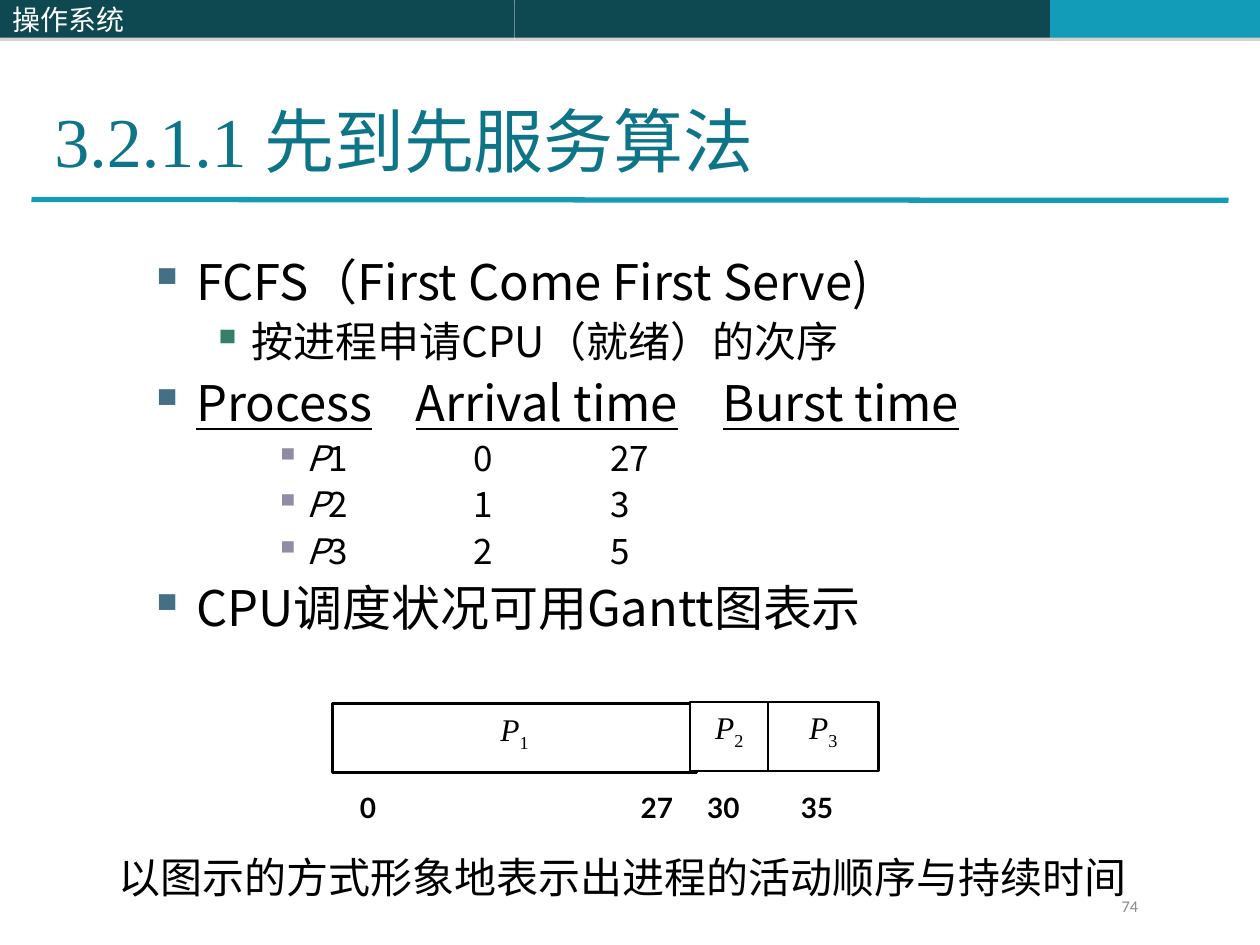
from lxml.etree import SubElement
from pptx import Presentation
from pptx.dml.color import RGBColor
from pptx.enum.shapes import MSO_CONNECTOR, MSO_SHAPE
from pptx.enum.text import MSO_ANCHOR, PP_ALIGN
from pptx.oxml.ns import qn
from pptx.util import Pt

SANS, SERIF = "Noto Sans CJK SC", "Times New Roman"
DARK, TEAL = "0E4851", "139CB7"

# Content: bars are (left, width, fill, text)
BARS = [(294, 306, DARK, ""), (600, 120, TEAL, ""), (0, 294, DARK, "操作系统")]
TITLE = "3.2.1.1 先到先服务算法"
TASKS = [("1", "0", "27"), ("2", "1", "3"), ("3", "2", "5")]
HEADS = ["Process", "Arrival time", "Burst time"]
# Levels: text indent, hanging, space before, size, bullet colour, tab stops
LEVELS = [
    (27, 27, 7, 28, "437085", [152.5, 328]),
    (58.5, 22.5, 6, 24, "357E69", []),
    (90, 18, 5, 20, "918BA3", [185.5, 263.5]),
]
# Body: level, then runs of (text, format)
BODY = [
    (0, [("FCFS（First Come First Serve)", {})]),
    (1, [("按进程申请CPU（就绪）的次序", {})]),
    (0, [(HEADS[0], {"under": True})]
     + [run for head in HEADS[1:] for run in (("\t", {}), (head, {"under": True}))]),
    *[(2, [("P", {"italic": True}), ("\t".join(row), {})]) for row in TASKS],
    (0, [("CPU调度状况可用Gantt图表示", {})]),
]
# Gantt blocks: number, left, top, width
BLOCKS = [("1", 190, 402, 208), ("2", 394.5, 401, 44.5), ("3", 439, 401, 63)]
TICKS, STOPS = ["0", "27", "30", "35"], [160.5, 198.5, 252]
CAPTION = "以图示的方式形象地表示出进程的活动顺序与持续时间"


def color(code):
    return RGBColor.from_string(code)


def write(par, text, size=18, font=SANS, ink="000000", bold=False,
          italic=False, under=False, base=0):
    run = par.add_run()
    run.text = text
    face = run.font
    face.size, face.name = Pt(size), font
    face.bold, face.italic, face.underline = bold, italic, under
    face.color.rgb = color(ink)
    props = run._r.get_or_add_rPr()
    SubElement(props, qn("a:ea")).set("typeface", SANS)
    if base:
        props.set("baseline", str(base * 1000))


def add_tabs(par, stops):
    tabs = SubElement(par._p.get_or_add_pPr(), qn("a:tabLst"))
    for stop in stops:
        tab = SubElement(tabs, qn("a:tab"))
        tab.set("pos", str(Pt(stop)))
        tab.set("algn", "l")


def add_text(parent, left, top, width, height, anchor=MSO_ANCHOR.TOP, wrap=True):
    box = parent.add_textbox(Pt(left), Pt(top), Pt(width), Pt(height))
    frame = box.text_frame
    frame.word_wrap, frame.vertical_anchor = wrap, anchor
    return frame


def add_rect(parent, left, top, width, height, fill, line=None):
    rect = parent.add_shape(MSO_SHAPE.RECTANGLE, Pt(left), Pt(top), Pt(width), Pt(height))
    rect.shadow.inherit = False
    rect.fill.solid()
    rect.fill.fore_color.rgb = color(fill)
    if line:
        rect.line.color.rgb = color(line)
        rect.line.width = Pt(1.25)
    else:
        rect.line.fill.background()
    return rect


def add_shadow(shape):
    effects = shape._element.spPr.find(qn("a:effectLst"))
    outer = SubElement(effects, qn("a:outerShdw"))
    outer.set("dist", str(Pt(1.8)))
    outer.set("dir", "5400000")
    tint = SubElement(outer, qn("a:srgbClr"))
    tint.set("val", "808080")
    SubElement(tint, qn("a:alpha")).set("val", "35000")


def set_level(par, level):
    indent, hang, before, size, tint, stops = LEVELS[level]
    par.level, par.line_spacing, par.space_before = level, 0.9, Pt(before)
    props = par._p.get_or_add_pPr()
    props.set("marL", str(Pt(indent)))
    props.set("indent", str(-Pt(hang)))
    mark = SubElement(props, qn("a:buClr"))
    SubElement(mark, qn("a:srgbClr")).set("val", tint)
    SubElement(props, qn("a:buChar")).set("char", "▪")
    if stops:
        add_tabs(par, stops)
    return size


deck = Presentation()
deck.slide_width, deck.slide_height = Pt(720), Pt(540)
shapes = deck.slides.add_slide(deck.slide_layouts[6]).shapes

# Header bars and title rule
for left, width, fill, text in BARS:
    bar = add_rect(shapes, left, 0, width, 21.6, fill)
    add_shadow(bar)
    if text:
        bar.text_frame.vertical_anchor = MSO_ANCHOR.MIDDLE
        par = bar.text_frame.paragraphs[0]
        par.alignment = PP_ALIGN.LEFT
        write(par, text, size=16, ink="FFFFFF")
rule = shapes.add_connector(MSO_CONNECTOR.STRAIGHT, Pt(18), Pt(114), Pt(702), Pt(114.5))
rule.line.color.rgb = color(TEAL)
rule.line.width = Pt(3)
SubElement(rule._element.spPr, qn("a:effectLst"))

# Title
frame = add_text(shapes, 24, 17.5, 613.5, 90, MSO_ANCHOR.BOTTOM)
write(frame.paragraphs[0], TITLE, size=40, font=SERIF, ink="0E7589")

# Body list
frame = add_text(shapes, 78, 144, 612, 343.5)
for i, (level, runs) in enumerate(BODY):
    par = frame.add_paragraph() if i else frame.paragraphs[0]
    size = set_level(par, level)
    for text, form in runs:
        write(par, text, size=size, **form)

# Gantt chart with its time marks
gantt = shapes.add_group_shape().shapes
frame = add_text(gantt, 198.5, 448, 298, 26.5, wrap=False)
par = frame.paragraphs[0]
add_tabs(par, STOPS)
write(par, "\t".join(TICKS), size=16, font="Lato", bold=True)
for number, left, top, width in BLOCKS:
    block = add_rect(gantt, left, top, width, 39.5, "FFFFFF", "000000")
    block.text_frame.vertical_anchor = MSO_ANCHOR.TOP
    par = block.text_frame.paragraphs[0]
    par.alignment = PP_ALIGN.CENTER
    write(par, "P", font=SERIF, italic=True)
    write(par, number, font=SERIF, base=-25)

# Caption and page number
frame = add_text(shapes, 60.5, 483, 628.5, 36, MSO_ANCHOR.MIDDLE)
write(frame.paragraphs[0], CAPTION, size=24, font="Lato")
frame = add_text(shapes, 540, 511, 168, 19.5)
frame.margin_left = Pt(101)
par = frame.paragraphs[0]
par.line_spacing = 0.8
write(par, "74", size=9.3, font="Calibri", ink="898989")

deck.save("out.pptx")
